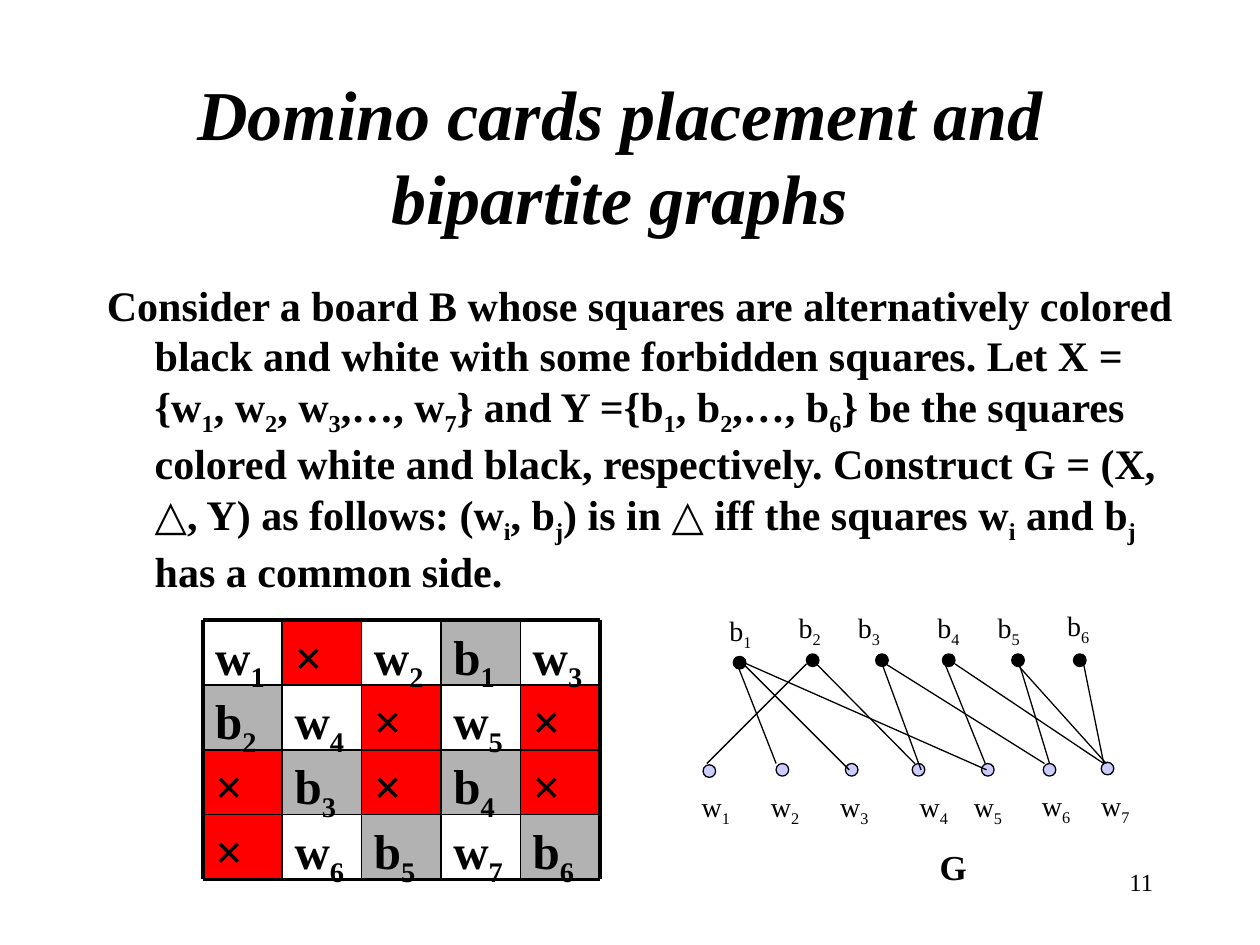
"""Build the slide on domino placement and bipartite graphs."""
import pptx
import pptx.util
import pptx.dml.color
import pptx.enum.shapes
import pptx.enum.text
import pptx.oxml

Inches, Pt = pptx.util.Inches, pptx.util.Pt
RGB = pptx.dml.color.RGBColor
KIND = pptx.enum.shapes.MSO_SHAPE
ALIGN = pptx.enum.text.PP_ALIGN
BLACK = RGB(0x00, 0x00, 0x00)
GRAY = RGB(0xB2, 0xB2, 0xB2)
RED = RGB(0xFF, 0x00, 0x00)
LILAC = RGB(0xCC, 0xCC, 0xFF)
FACE = "Times New Roman"

TITLE = "Domino cards placement and bipartite graphs"
BODY = (
    "Consider a board B whose squares are alternatively colored black and white "
    "with some forbidden squares. Let X = {w_1, w_2, w_3,…, w_7} and "
    "Y ={b_1, b_2,…, b_6} be the squares colored white and black, respectively. "
    "Construct G = (X, △, Y) as follows: (w_i, b_j) is in △ iff the squares "
    "w_i and b_j has a common side."
)
BOARD = [
    ["w_1", "×", "w_2", "b_1", "w_3"],
    ["b_2", "w_4", "×", "w_5", "×"],
    ["×", "b_3", "×", "b_4", "×"],
    ["×", "w_6", "b_5", "w_7", "b_6"],
]
FILLS = {"×": RED, "b": GRAY}
LEFT, TOP, WIDE, HIGH = 1.61, 4.92, 0.63, 0.515

NODES = {
    "w": (LILAC, [
        (5.58, 6.07, 5.47, 6.22), (6.16, 6.06, 6.02, 6.22),
        (6.71, 6.06, 6.57, 6.22), (7.24, 6.06, 7.2, 6.22),
        (7.79, 6.06, 7.63, 6.22), (8.28, 6.06, 8.17, 6.21),
        (8.74, 6.05, 8.64, 6.21),
    ]),
    "b": (BLACK, [
        (5.82, 5.21, 5.69, 4.82), (6.4, 5.19, 6.24, 4.8),
        (6.95, 5.19, 6.71, 4.8), (7.48, 5.19, 7.34, 4.8),
        (8.03, 5.19, 7.82, 4.8), (8.52, 5.19, 8.37, 4.78),
    ]),
}
EDGES = {
    (5.27, 6.06): [
        (5.85, 6.16), (6.4, 5.61), (6.48, 7.26), (7.5, 7.82), (8.09, 8.33),
        (7.03, 8.29), (7.58, 8.76), (8.07, 8.78), (8.6, 8.76),
    ],
    (5.24, 6.11): [(5.87, 6.74), (6.99, 7.31), (5.86, 7.83)],
}


def write(shape, text, size, bold=False, align=ALIGN.LEFT):
    """Write text in which an underscore lowers the next letter."""
    frame = shape.text_frame
    frame.word_wrap = True
    para = frame.paragraphs[0]
    para.alignment = align
    font = para.font
    font.name, font.size, font.bold = FACE, Pt(size), bold
    font.color.rgb = BLACK
    head, *rest = text.split("_")
    parts = [(head, False)]
    for part in rest:
        parts += [(part[0], True), (part[1:], False)]
    for part, low in parts:
        if part:
            run = para.add_run()
            run.text = part
            if low:
                run.font._element.set("baseline", "-25000")
    return para


def label(slide, box, text, size, **style):
    """Add a text box."""
    shape = slide.shapes.add_textbox(*map(Inches, box))
    return write(shape, text, size, **style)


def solid(slide, kind, box, fill):
    """Add a filled shape without an outline."""
    shape = slide.shapes.add_shape(kind, *map(Inches, box))
    shape.shadow.inherit = False
    shape.fill.solid()
    shape.fill.fore_color.rgb = fill
    shape.line.fill.background()
    return shape


def stroke(slide, ends, width):
    """Add a straight black line."""
    line = slide.shapes.add_connector(
        pptx.enum.shapes.MSO_CONNECTOR.STRAIGHT, *map(Inches, ends))
    line.line.color.rgb = BLACK
    line.line.width = Pt(width)
    line._element.spPr.append(pptx.oxml.parse_xml(
        '<a:effectLst xmlns:a="http://schemas.openxmlformats.org/drawingml/2006/main"/>'))


def board(slide):
    """Draw the squares from the bottom row up, then their grid lines."""
    rows, cols = len(BOARD), len(BOARD[0])
    for r in reversed(range(rows)):
        for c, text in enumerate(BOARD[r]):
            box = (LEFT + c * WIDE, TOP + r * HIGH, WIDE, HIGH)
            fill = FILLS.get(text[0])
            if fill is None:
                label(slide, box, text, 28, bold=True)
            else:
                shape = solid(slide, KIND.RECTANGLE, box, fill)
                shape.text_frame.vertical_anchor = pptx.enum.text.MSO_ANCHOR.TOP
                write(shape, text, 28, bold=True)
    right, base = LEFT + cols * WIDE, TOP + rows * HIGH
    for r in range(rows + 1):
        y = TOP + r * HIGH
        stroke(slide, (LEFT, y, right, y), 2.25 if r in (0, rows) else 1)
    for c in range(cols + 1):
        x = LEFT + c * WIDE
        stroke(slide, (x, TOP, x, base), 2.25 if c in (0, cols) else 1)


def graph(slide):
    """Draw the nodes, their labels and the edges."""
    for letter, (fill, spots) in NODES.items():
        for n, (x, y, left, top) in enumerate(spots, 1):
            dot = solid(slide, KIND.OVAL, (x, y, 0.1, 0.1), fill)
            dot.line.color.rgb = BLACK
            dot.line.width = Pt(0.75)
            label(slide, (left, top, 0.52, 0.41), f"{letter}_{n}", 16)
    for (top, base), pairs in EDGES.items():
        for start, end in pairs:
            stroke(slide, (start, top, end, base), 0.75)
    label(slide, (7.36, 6.66, 0.77, 0.44), "G", 20, bold=True)


def main():
    """Make and save the slide."""
    deck = pptx.Presentation()
    deck.slide_width, deck.slide_height = Inches(10), Inches(7.5)
    slide = deck.slides.add_slide(deck.slide_layouts[5])
    title = slide.shapes.title
    title.left, title.top, title.width, title.height = map(
        Inches, (0.67, 0.6, 8.5, 1.25))
    title.text_frame.vertical_anchor = pptx.enum.text.MSO_ANCHOR.MIDDLE
    write(title, TITLE, 40, bold=True, align=ALIGN.CENTER).font.italic = True
    para = label(slide, (0.75, 2.17, 8.66, 2.7), BODY, 24, bold=True)
    props = para._p.get_or_add_pPr()
    props.set("marL", str(Inches(0.38)))
    props.set("indent", str(Inches(-0.38)))
    board(slide)
    graph(slide)
    label(slide, (7.17, 6.83, 2.08, 0.5), "11", 14, align=ALIGN.RIGHT)
    deck.save("out.pptx")


if __name__ == "__main__":
    main()
